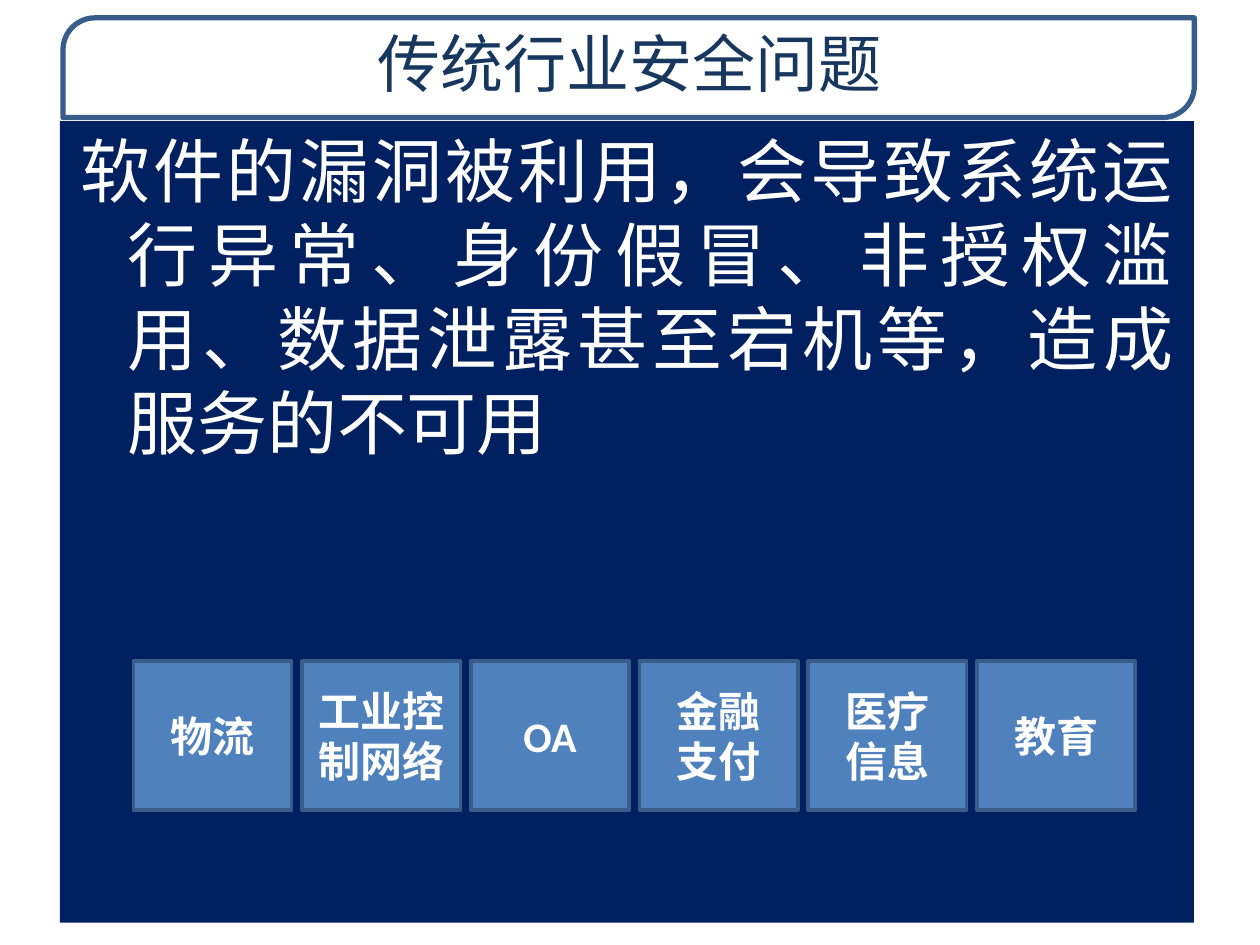
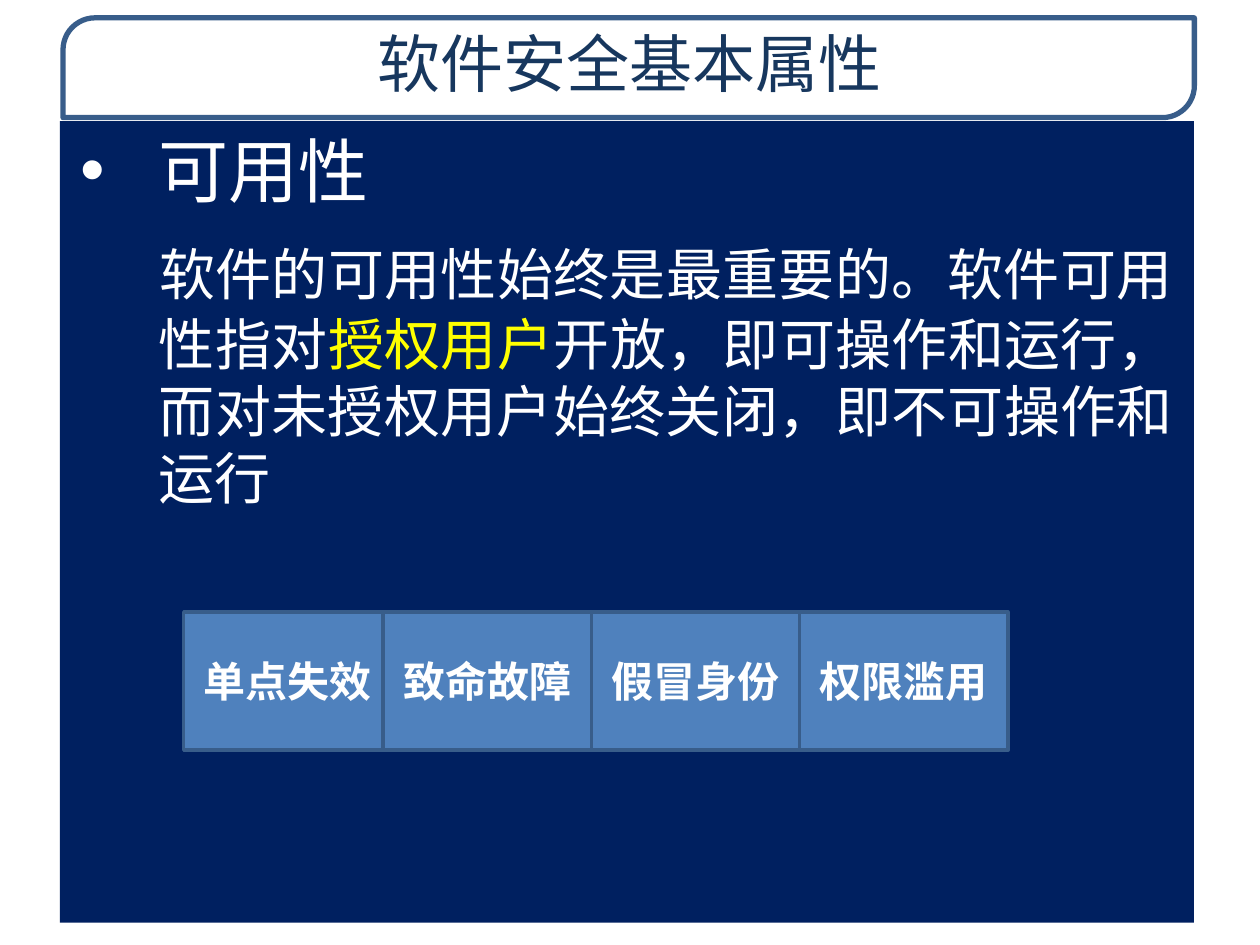
from lxml import etree
from pptx import Presentation
from pptx.dml.color import RGBColor
from pptx.enum.shapes import MSO_SHAPE as Preset
from pptx.enum.text import MSO_ANCHOR as Anchor, MSO_AUTO_SIZE as AutoSize, PP_ALIGN as Align
from pptx.oxml.ns import qn
from pptx.util import Pt

WHITE = RGBColor(0xFF, 0xFF, 0xFF)
YELLOW = RGBColor(0xFF, 0xFF, 0x00)
NAVY = RGBColor(0x00, 0x20, 0x60)
TITLE_BLUE = RGBColor(0x17, 0x37, 0x5E)
BOX_BLUE = RGBColor(0x4F, 0x81, 0xBD)
EDGE_BLUE = RGBColor(0x38, 0x5D, 0x8A)

TEXT_FONT = "Noto Sans CJK SC"
BOX_FONT = "Calibri"

# Left, top, width, height in points
FRAME = (36, 10.2, 646.5, 57)
TITLE = (36.5, 10.5, 646, 55)
BODY = (34.2, 69.2, 648, 458)


def place(shape, box):
    shape.left, shape.top, shape.width, shape.height = map(Pt, box)


def set_margins(text_frame, side):
    text_frame.margin_left = text_frame.margin_right = Pt(side)
    text_frame.margin_top = text_frame.margin_bottom = Pt(3.6)


def add_run(paragraph, text, size, color, font=TEXT_FONT, bold=False):
    run = paragraph.add_run()
    run.text = text
    run.font.size = Pt(size)
    run.font.bold = bold
    run.font.color.rgb = color
    run.font.name = font
    if font == TEXT_FONT:
        latin = run.font._element.find(qn("a:latin"))
        east_asian = etree.Element(qn("a:ea"), typeface=font)
        latin.addnext(east_asian)


def add_rectangle(slide, preset, box, fill, line_width):
    shape = slide.shapes.add_shape(preset, *map(Pt, box))
    shape.shadow.inherit = False
    shape.fill.solid()
    shape.fill.fore_color.rgb = fill
    shape.line.color.rgb = EDGE_BLUE
    shape.line.width = Pt(line_width)
    return shape


def add_title_frame(layout, slide):
    """Draw the title outline and move it to the layout, so every slide shows it."""
    frame = add_rectangle(slide, Preset.ROUND_2_DIAG_RECTANGLE, FRAME, WHITE, 3)
    frame.adjustments[0] = 0.32
    color = frame.fill._xPr.find(qn("a:solidFill"))[0]
    etree.SubElement(color, qn("a:alpha"), val="85000")
    layout.shapes.element.append(frame.element)


def fill_title(slide, text):
    title = slide.shapes.title
    place(title, TITLE)
    text_frame = title.text_frame
    text_frame.auto_size = AutoSize.NONE
    text_frame.vertical_anchor = Anchor.TOP
    set_margins(text_frame, 7.2)
    paragraph = text_frame.paragraphs[0]
    paragraph.alignment = Align.CENTER
    add_run(paragraph, text, 36, TITLE_BLUE)


def format_paragraph(paragraph, hanging, before=0, bullet=None):
    """Justify with a hanging indent, keeping punctuation inside the margin."""
    paragraph.alignment = Align.JUSTIFY
    paragraph.space_before = Pt(before)
    properties = paragraph._p.get_or_add_pPr()
    properties.set("marL", str(Pt(hanging)))
    properties.set("indent", str(Pt(-hanging)))
    properties.set("hangingPunct", "0")
    if bullet:
        bullet_color = etree.SubElement(properties, qn("a:buClr"))
        etree.SubElement(bullet_color, qn("a:srgbClr"), val=str(WHITE))
        etree.SubElement(properties, qn("a:buFont"), typeface="Arial")
        etree.SubElement(properties, qn("a:buChar"), char=bullet)
    else:
        etree.SubElement(properties, qn("a:buNone"))


def prepare_body(slide):
    body = slide.placeholders[1]
    place(body, BODY)
    body.fill.solid()
    body.fill.fore_color.rgb = NAVY
    text_frame = body.text_frame
    text_frame.auto_size = AutoSize.NONE
    text_frame.vertical_anchor = Anchor.TOP
    set_margins(text_frame, 11.5)
    return text_frame


def add_box_row(slide, labels, lefts, top, width, height):
    """Place one labelled box per left edge; offsets are from the body's corner."""
    for label, left in zip(labels, lefts):
        box = (BODY[0] + left, BODY[1] + top, width, height)
        shape = add_rectangle(slide, Preset.RECTANGLE, box, BOX_BLUE, 2)
        text_frame = shape.text_frame
        text_frame.word_wrap = True
        text_frame.vertical_anchor = Anchor.MIDDLE
        set_margins(text_frame, 7.2)
        for index, line in enumerate(label.split("\n")):
            paragraph = text_frame.add_paragraph() if index else text_frame.paragraphs[0]
            paragraph.alignment = Align.CENTER
            add_run(paragraph, line, 24, WHITE, BOX_FONT, bold=True)


def build_industry_slide(slide):
    fill_title(slide, "传统行业安全问题")
    paragraph = prepare_body(slide).paragraphs[0]
    format_paragraph(paragraph, 27)
    add_run(paragraph, "软件的漏洞被利用，会导致系统运行异常、身份假冒、非授权滥用、"
            "数据泄露甚至宕机等，造成服务的不可用", 40, WHITE)
    industries = ["物流", "工业控制网络", "OA", "金融\n支付", "医疗\n信息", "教育"]
    lefts = [42 + 96.4 * column for column in range(len(industries))]
    add_box_row(slide, industries, lefts, 308.6, 90.5, 85)


def build_availability_slide(slide):
    fill_title(slide, "软件安全基本属性")
    text_frame = prepare_body(slide)
    heading = text_frame.paragraphs[0]
    format_paragraph(heading, 45, bullet="•")
    add_run(heading, "可用性", 40, WHITE)
    explanation = text_frame.add_paragraph()
    format_paragraph(explanation, 45, before=8)
    for text, size, color in [
        ("\t", 40, WHITE),
        ("软件的可用性始终是最重要的。软件可用性指对", 32, WHITE),
        ("授权用户", 32, YELLOW),
        ("开放，即可操作和运行，而对未授权用户始终关闭，即不可操作和运行", 32, WHITE),
    ]:
        add_run(explanation, text, size, color)
    threats = ["单点失效", "致命故障", "假冒身份", "权限滥用"]
    width = 119
    # The second box overlaps the first; the rest stand edge to edge
    lefts = [70.8] + [184.8 + width * column for column in range(3)]
    add_box_row(slide, threats, lefts, 280.5, width, 79)


def main():
    presentation = Presentation()
    presentation.slide_width, presentation.slide_height = Pt(720), Pt(540)
    layout = presentation.slide_layouts[1]
    industry_slide = presentation.slides.add_slide(layout)
    add_title_frame(layout, industry_slide)
    build_industry_slide(industry_slide)
    build_availability_slide(presentation.slides.add_slide(layout))
    presentation.save("out.pptx")


if __name__ == "__main__":
    main()
